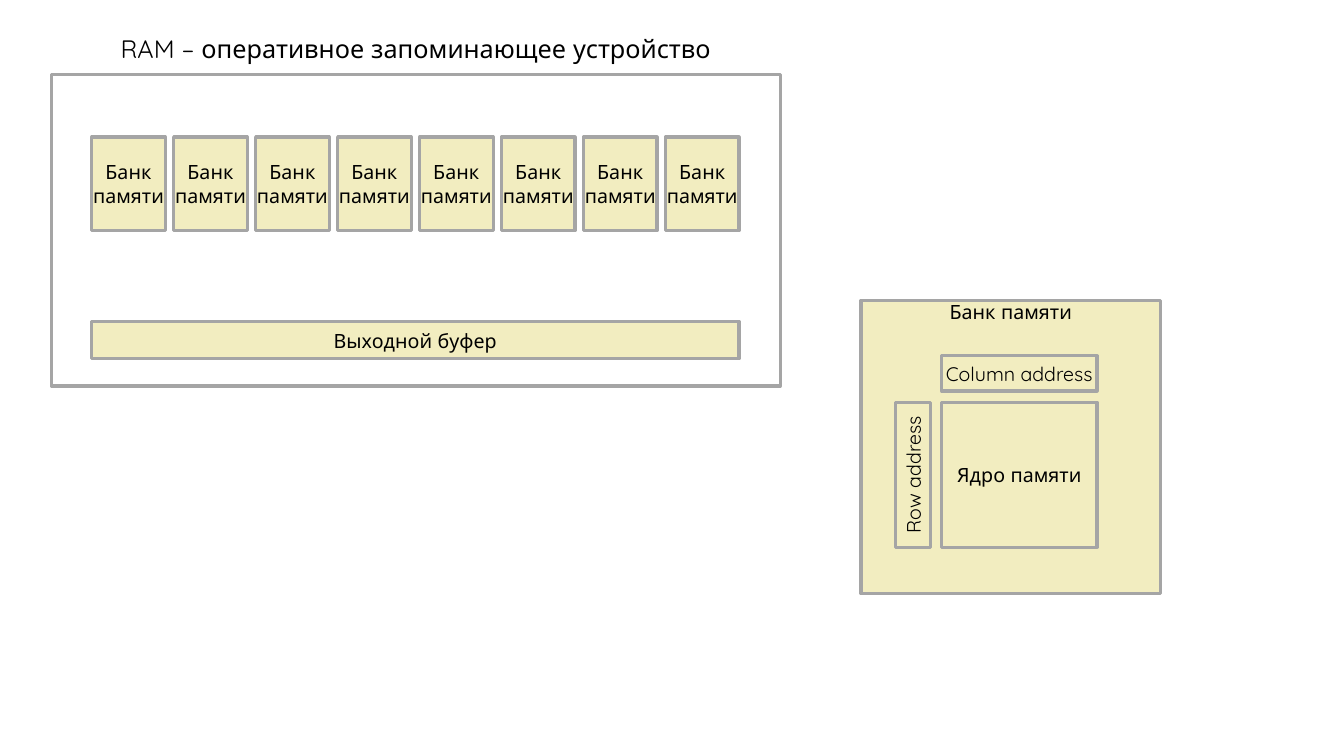
from pptx import Presentation
from pptx.dml.color import RGBColor
from pptx.enum.shapes import MSO_SHAPE
from pptx.enum.text import MSO_ANCHOR, MSO_AUTO_SIZE, PP_ALIGN
from pptx.util import Inches, Pt

RECTANGLE = MSO_SHAPE.RECTANGLE
TOP, MIDDLE = MSO_ANCHOR.TOP, MSO_ANCHOR.MIDDLE
NO_AUTOFIT = MSO_AUTO_SIZE.NONE
CENTER = PP_ALIGN.CENTER

BLACK = RGBColor(0x00, 0x00, 0x00)
GREY = RGBColor(0xA5, 0xA5, 0xA5)
CREAM = RGBColor(0xF2, 0xED, 0xC0)
FONT = "Quicksand"
BANK_COUNT = 8


def write_text(shape, text, size, anchor=MIDDLE):
    frame = shape.text_frame
    frame.text = text
    frame.word_wrap = True
    frame.auto_size = NO_AUTOFIT
    frame.vertical_anchor = anchor
    frame.margin_left = frame.margin_right = 0
    frame.margin_top = frame.margin_bottom = 0
    para = frame.paragraphs[0]
    para.alignment = CENTER
    para.line_spacing = 1.0
    para.space_before = Pt(0)
    font = para.runs[0].font
    font.name, font.size = FONT, Pt(size)
    font.color.rgb = BLACK


def add_block(page, left, top, width, height, text="", anchor=MIDDLE, fill=CREAM):
    block = page.shapes.add_shape(
        RECTANGLE, Inches(left), Inches(top), Inches(width), Inches(height))
    block.shadow.inherit = False
    if fill is None:
        block.fill.background()
    else:
        block.fill.solid()
        block.fill.fore_color.rgb = fill
    block.line.color.rgb = GREY
    block.line.width = Pt(2.25)
    if text:
        write_text(block, text, 14, anchor)
    return block


def add_title(page, left, top, width, height):
    title = page.shapes.title
    title.left, title.top = Inches(left), Inches(top)
    title.width, title.height = Inches(width), Inches(height)
    write_text(title, "RAM – оперативное запоминающее устройство", 18)


def add_memory_chip(page, left, top, width, height):
    # Chip outline
    add_block(page, left, top, width, height, fill=None)

    # Output buffer
    inner_left, inner_width = left + 0.4, width - 0.81
    add_block(page, inner_left, top + 2.45, inner_width, 0.37, "Выходной буфер")

    # Row of banks, spread evenly over the buffer width
    bank_width = 0.73
    pitch = (inner_width - bank_width) / (BANK_COUNT - 1)
    for index in range(BANK_COUNT):
        add_block(page, inner_left + index * pitch, top + 0.62,
                  bank_width, 0.93, "Банк памяти")


def add_memory_bank(page, left, top, width, height):
    add_block(page, left, top, width, height, "Банк памяти", TOP)

    # Memory core with the column address above it
    core_left, core_top = left + 0.8, top + 1.01
    core_width, core_height = 1.54, 1.44
    strip, gap = 0.35, 0.11
    add_block(page, core_left, core_top, core_width, core_height, "Ядро памяти")
    add_block(page, core_left, core_top - gap - strip, core_width, strip,
              "Column address")

    # Row address, turned to run along the left side of the core
    center_x = core_left - gap - strip / 2
    center_y = core_top + core_height / 2
    row_address = add_block(page, center_x - core_height / 2, center_y - strip / 2,
                            core_height, strip, "Row address")
    row_address.rotation = 270


def main():
    deck = Presentation()
    deck.slide_width, deck.slide_height = Inches(13.33), Inches(7.5)
    page = deck.slides.add_slide(deck.slide_layouts.get_by_name("Title Only"))
    add_title(page, 0.51, 0.3, 7.23, 0.36)
    add_memory_chip(page, 0.51, 0.74, 7.23, 3.09)
    add_memory_bank(page, 8.54, 2.98, 2.97, 2.91)
    deck.save("out.pptx")


if __name__ == "__main__":
    main()
